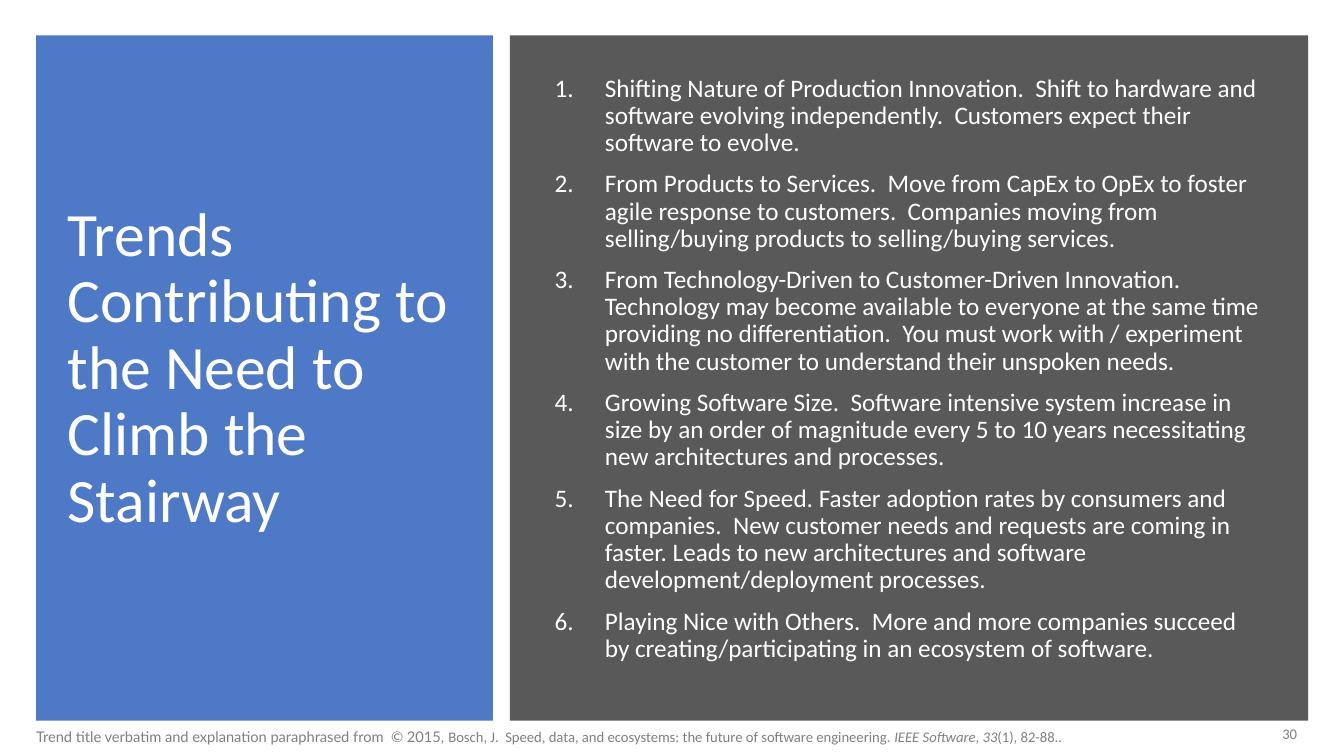
from dataclasses import dataclass

from pptx import Presentation
from pptx.dml.color import RGBColor
from pptx.enum.shapes import MSO_SHAPE
from pptx.enum.text import MSO_ANCHOR, MSO_AUTO_SIZE, PP_ALIGN
from pptx.oxml.ns import qn
from pptx.util import Cm, Pt
from lxml.etree import SubElement


@dataclass(frozen=True)
class Theme:
    blue: str = "4472C4"
    dark: str = "595959"
    white: str = "FFFFFF"
    grey: str = "808080"
    font: str = "Calibri"
    note_font: str = "Lato"
    title_size: float = 44
    body_size: float = 18
    note_size: float = 10.5


T = Theme()

TRENDS = [
    "Shifting Nature of Production Innovation.  Shift to hardware and software "
    "evolving independently.  Customers expect their software to evolve.",
    "From Products to Services.  Move from CapEx to OpEx to foster agile response to "
    "customers.  Companies moving from selling/buying products to selling/buying services.",
    "From Technology-Driven to Customer-Driven Innovation.  Technology may become "
    "available to everyone at the same time providing no differentiation.  You must work "
    "with / experiment with the customer to understand their unspoken needs.",
    "Growing Software Size.  Software intensive system increase in size by an order of "
    "magnitude every 5 to 10 years necessitating new architectures and processes.",
    "The Need for Speed. Faster adoption rates by consumers and companies.  New customer "
    "needs and requests are coming in faster. Leads to new architectures and software "
    "development/deployment processes.",
    "Playing Nice with Others.  More and more companies succeed by creating/participating "
    "in an ecosystem of software.",
]

# text, font, italic
CITATION = [
    ("Trend title verbatim and explanation paraphrased from  © 2015, ", T.note_font, False),
    ("Bosch, J.  Speed, data, and ecosystems: the future of software engineering. ",
     T.font, False),
    ("IEEE Software", T.font, True),
    (", ", T.font, False),
    ("33", T.font, True),
    ("(1), 82-88.", T.font, False),
    (".", T.note_font, False),
]


def style(r, size, color, name=T.font, italic=False):
    r.font.name, r.font.size, r.font.italic = name, Pt(size), italic
    r.font.color.rgb = RGBColor.from_string(color)


def frame(sp, left, top, width, height):
    """Place a text shape and return its wrapped, vertically centred text frame."""
    sp.left, sp.top, sp.width, sp.height = Cm(left), Cm(top), Cm(width), Cm(height)
    tf = sp.text_frame
    tf.word_wrap = True
    tf.auto_size = MSO_AUTO_SIZE.NONE
    tf.vertical_anchor = MSO_ANCHOR.MIDDLE
    return tf


prs = Presentation()
prs.slide_width, prs.slide_height = Cm(33.87), Cm(19.05)
s = prs.slides.add_slide(prs.slide_layouts[1])
title, body = s.shapes.title, s.placeholders[1]

# Panels, with the placeholders brought in front of them
for left, width, color in [(0.91, 11.51, T.blue), (12.85, 20.12, T.dark)]:
    panel = s.shapes.add_shape(MSO_SHAPE.RECTANGLE, Cm(left), Cm(0.89), Cm(width), Cm(17.27))
    panel.shadow.inherit = False
    panel.fill.solid()
    panel.fill.fore_color.rgb = RGBColor.from_string(color)
    panel.line.fill.background()
    if color == T.blue:
        clr = panel.fill._xPr.find(".//" + qn("a:srgbClr"))
        SubElement(clr, qn("a:alpha"), val="95000")
for sp in (title, body):
    s.shapes._spTree.append(sp._element)

# Title
tf = frame(title, 1.45, 1.63, 10.34, 15.34)
tf.text = "Trends Contributing to the Need to Climb the Stairway"
p = tf.paragraphs[0]
p.alignment, p.line_spacing = PP_ALIGN.LEFT, 0.9
style(p.runs[0], T.title_size, T.white)

# Numbered trends
tf = frame(body, 13.72, 1.63, 18.31, 15.34)
tf.text = "\n".join(TRENDS)
for i, p in enumerate(tf.paragraphs):
    p.line_spacing = 0.9
    p.space_before = Pt(10 if i else 0)
    pPr = p._p.get_or_add_pPr()
    pPr.set("marL", str(Cm(1.27)))
    pPr.set("indent", str(-Cm(1.27)))
    SubElement(pPr, qn("a:buFont"), typeface="+mj-lt")
    SubElement(pPr, qn("a:buAutoNum"), type="arabicPeriod")
    style(p.runs[0], T.body_size, T.white)

# Citation
tf = frame(s.shapes.add_textbox(0, 0, 0, 0), 0.66, 18.03, 26.87, 1.12)
p = tf.paragraphs[0]
p.line_spacing = 0.9
for text, name, italic in CITATION:
    r = p.add_run()
    r.text = text
    style(r, T.note_size, T.grey, name, italic)

# Slide number
tf = frame(s.shapes.add_textbox(0, 0, 0, 0), 30.25, 18.11, 2.69, 0.76)
tf.text = "30"
p = tf.paragraphs[0]
p.alignment = PP_ALIGN.RIGHT
style(p.runs[0], T.note_size, T.grey)

prs.save("out.pptx")
